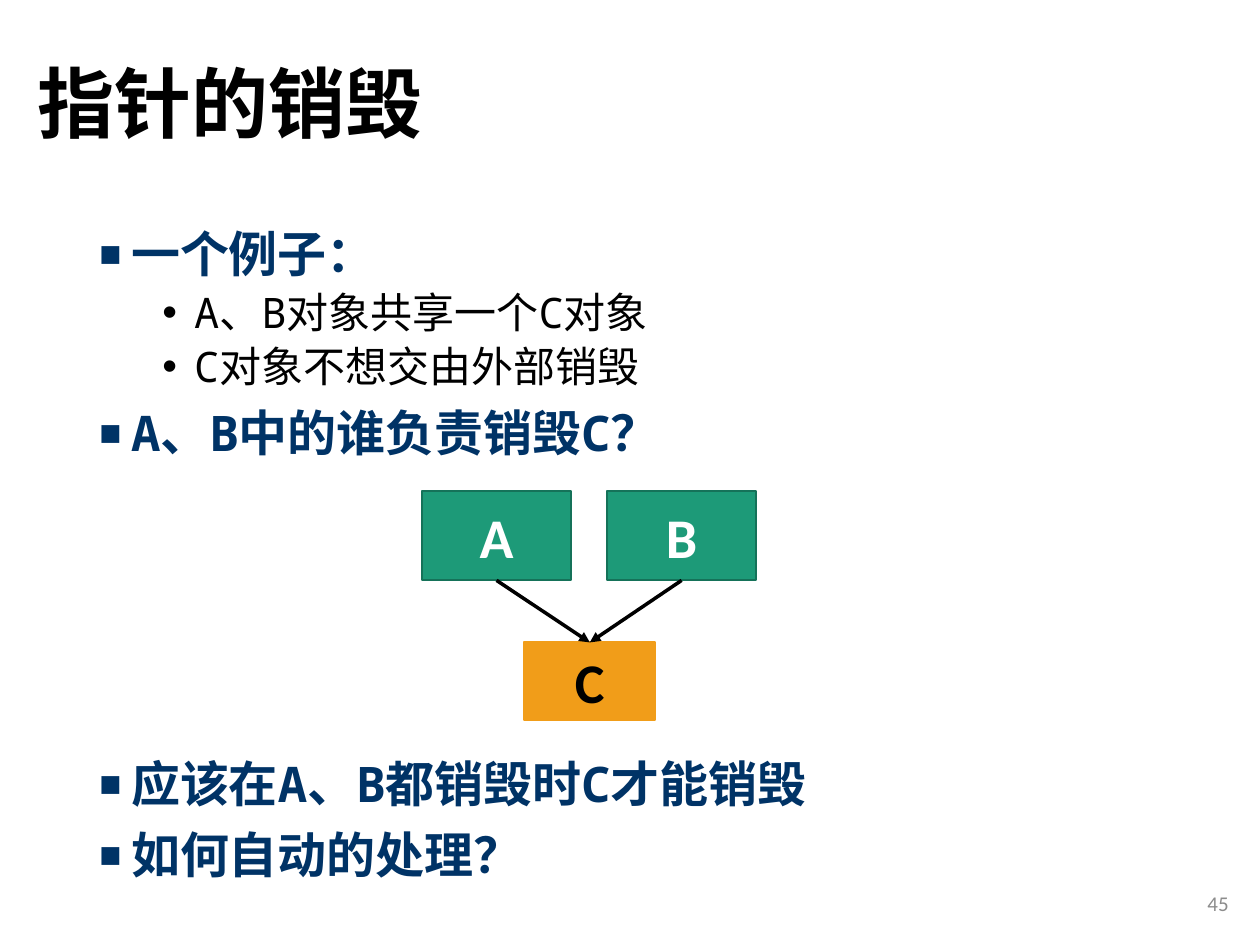
from dataclasses import dataclass

from lxml import etree
from pptx import Presentation
from pptx.dml.color import RGBColor
from pptx.enum.shapes import MSO_CONNECTOR, MSO_SHAPE
from pptx.enum.text import MSO_ANCHOR, MSO_AUTO_SIZE, PP_ALIGN
from pptx.oxml.ns import qn
from pptx.util import Cm, Pt

RECTANGLE = MSO_SHAPE.RECTANGLE
STRAIGHT = MSO_CONNECTOR.STRAIGHT
MIDDLE, TOP = MSO_ANCHOR.MIDDLE, MSO_ANCHOR.TOP
LEFT, CENTER, RIGHT = PP_ALIGN.LEFT, PP_ALIGN.CENTER, PP_ALIGN.RIGHT
NO_AUTOFIT = MSO_AUTO_SIZE.NONE

BLACK = RGBColor(0x00, 0x00, 0x00)
WHITE = RGBColor(0xFF, 0xFF, 0xFF)
NAVY = RGBColor(0x00, 0x33, 0x66)
GRAY = RGBColor(0x8C, 0x8C, 0x8C)
GREEN = RGBColor(0x1D, 0x9A, 0x78)
DARK_GREEN = RGBColor(0x15, 0x72, 0x59)
ORANGE = RGBColor(0xF1, 0x9D, 0x19)

CJK_FONT, MONO_FONT, LABEL_FONT = "Noto Sans CJK SC", "Noto Sans Mono", "Calibri"
BOTTOM_SITE, TOP_SITE = 2, 0


@dataclass
class ListStyle:
    size: int
    color: RGBColor
    bold: bool
    indent: float
    before: float
    bullet: str
    bullet_percent: int


@dataclass
class Item:
    text: str
    level: int = 0
    before: float | None = None


@dataclass
class Node:
    label: str
    left: float
    top: float
    width: float
    height: float
    fill: RGBColor
    border: RGBColor
    color: RGBColor


LIST_STYLES = [
    ListStyle(28, NAVY, True, 0.64, 10, "■", 75),
    ListStyle(24, BLACK, False, 1.91, 5, "•", 100),
]
ITEMS = [
    Item("一个例子："),
    Item("A、B对象共享一个C对象", level=1),
    Item("C对象不想交由外部销毁", level=1),
    Item("A、B中的谁负责销毁C？"),
    Item("应该在A、B都销毁时C才能销毁", before=170.5),  # leaves room for the diagram
    Item("如何自动的处理？"),
]
OWNERS = [
    Node(label, left, 9.9, 3, 1.8, GREEN, DARK_GREEN, WHITE)
    for label, left in (("A", 8.51), ("B", 12.24))
]
SHARED = Node("C", 10.57, 12.95, 2.64, 1.57, ORANGE, ORANGE, BLACK)


def place(shape, left: float, top: float, width: float, height: float) -> None:
    shape.left, shape.top = Cm(left), Cm(top)
    shape.width, shape.height = Cm(width), Cm(height)


def format_text(para, font_name: str, size: int, color: RGBColor, bold: bool, align) -> None:
    para.alignment = align
    for span in para.runs:
        span.font.size = Pt(size)
        span.font.bold = bold
        span.font.color.rgb = color
        span.font.name = font_name
        east_asian = etree.SubElement(span.font._element, qn("a:ea"))
        east_asian.set("typeface", CJK_FONT)


def add_bullet(para, style: ListStyle) -> None:
    properties = para._p.get_or_add_pPr()
    properties.set("marL", str(Cm(style.indent)))
    properties.set("indent", str(-Cm(0.64)))
    for tag, name, value in (
        ("a:buSzPct", "val", str(style.bullet_percent * 1000)),
        ("a:buFont", "typeface", "Arial"),
        ("a:buChar", "char", style.bullet),
    ):
        etree.SubElement(properties, qn(tag)).set(name, value)


def fill_list(frame, items: list[Item]) -> None:
    frame.text = "\n".join(item.text for item in items)
    for para, item in zip(frame.paragraphs, items):
        style = LIST_STYLES[item.level]
        para.level = item.level
        para.line_spacing = 0.9
        para.space_before = Pt(style.before if item.before is None else item.before)
        format_text(para, MONO_FONT, style.size, style.color, style.bold, LEFT)
        add_bullet(para, style)


def add_node(page, node: Node):
    box = page.shapes.add_shape(
        RECTANGLE, Cm(node.left), Cm(node.top), Cm(node.width), Cm(node.height)
    )
    box.shadow.inherit = False
    box.fill.solid()
    box.fill.fore_color.rgb = node.fill
    box.line.color.rgb = node.border
    box.line.width = Pt(1)
    box.text_frame.text = node.label
    box.text_frame.vertical_anchor = MIDDLE
    format_text(box.text_frame.paragraphs[0], LABEL_FONT, 32, node.color, True, CENTER)
    return box


def add_arrow(page, source, target) -> None:
    arrow = page.shapes.add_connector(STRAIGHT, 0, 0, 0, 0)
    arrow.begin_connect(source, BOTTOM_SITE)
    arrow.end_connect(target, TOP_SITE)
    arrow.line.color.rgb = BLACK
    arrow.line.width = Pt(2)
    etree.SubElement(arrow.line._get_or_add_ln(), qn("a:tailEnd")).set("type", "triangle")
    etree.SubElement(arrow._element.spPr, qn("a:effectLst"))


def main() -> None:
    deck = Presentation()
    deck.slide_width, deck.slide_height = Cm(25.4), Cm(19.05)
    page = deck.slides.add_slide(deck.slide_layouts[1])

    # Title
    title = page.shapes.title
    place(title, 0.51, 0.33, 21.89, 3.68)
    title.text_frame.text = "指针的销毁"
    title.text_frame.auto_size = NO_AUTOFIT
    title.text_frame.vertical_anchor = MIDDLE
    heading = title.text_frame.paragraphs[0]
    heading.line_spacing = 0.9
    format_text(heading, CJK_FONT, 44, BLACK, True, LEFT)

    # Bullet list
    body = page.placeholders[1]
    place(body, 1.75, 4.52, 22.35, 13.59)
    body.text_frame.auto_size = NO_AUTOFIT
    body.text_frame.vertical_anchor = TOP
    fill_list(body.text_frame, ITEMS)

    # Page number
    number = page.shapes.add_textbox(Cm(19.3), Cm(17.7), Cm(5.72), Cm(1.02))
    number.text_frame.word_wrap = True
    number.text_frame.vertical_anchor = MIDDLE
    number.text_frame.text = "45"
    format_text(number.text_frame.paragraphs[0], LABEL_FONT, 12, GRAY, False, RIGHT)

    # Ownership diagram
    owners = [add_node(page, node) for node in OWNERS]
    shared = add_node(page, SHARED)
    for owner in owners:
        add_arrow(page, owner, shared)

    deck.save("out.pptx")


if __name__ == "__main__":
    main()
